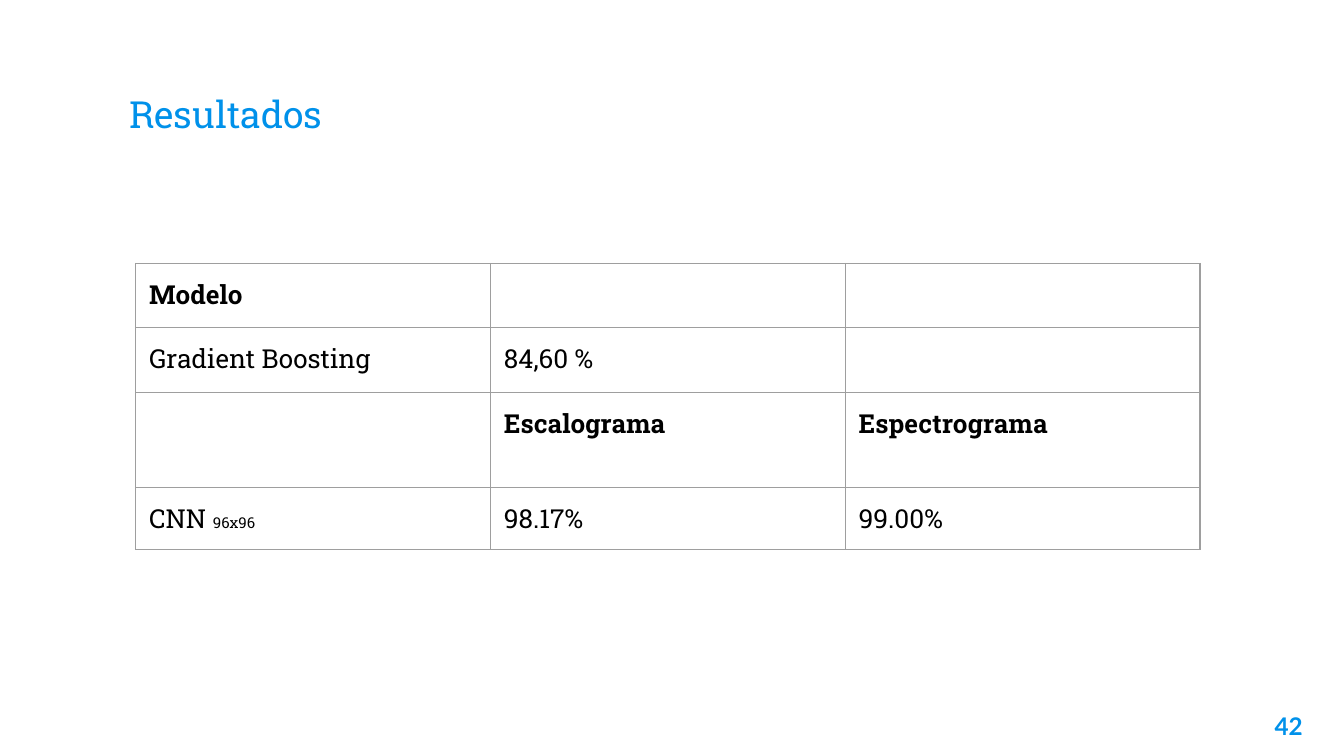
"""Build the results slide with its table of model accuracies."""
import pptx
import pptx.dml.color
import pptx.enum.text
import pptx.oxml
import pptx.oxml.ns
import pptx.util

WIDTH = 10
HEIGHT = WIDTH * 9 / 16
SLAB, BLUE, BLACK, GREY = "Roboto Slab", "0091EA", "000000", "9E9E9E"
ANCHOR = pptx.enum.text.MSO_ANCHOR
ALIGN = pptx.enum.text.PP_ALIGN

TITLE = "Resultados"
PAGE = "42"
ROWS = [
    ["Modelo", "", ""],
    ["Gradient Boosting", "84,60 %", ""],
    ["", "Escalograma", "Espectrograma"],
    ["CNN ", "98.17%", "99.00%"],
]
BOLD_ROWS = {0, 2}
SUFFIXES = {(3, 0): "96x96"}
ROW_HEIGHTS = [0.48, 0.48, 0.71, 0.46]
TABLE_LEFT, TABLE_TOP, COLUMN = 1.01, 1.96, 2.64


def inches(*values):
    return [pptx.util.Inches(v) for v in values]


def color(value):
    return pptx.dml.color.RGBColor.from_string(value)


def xml(tag, attributes, content=""):
    return pptx.oxml.parse_xml(
        f'<a:{tag} {pptx.oxml.ns.nsdecls("a")} {attributes}>{content}</a:{tag}>')


def add_text(p, text, size=14, font=SLAB, fill=BLACK, bold=False, align=ALIGN.LEFT):
    p.alignment = align
    if not text:
        p._p.append(xml("endParaRPr", f'sz="{size * 100}"'))
        return
    r = p.add_run()
    r.text = text
    r.font.size = pptx.util.Pt(size)
    r.font.name = font
    r.font.bold = bold
    r.font.color.rgb = color(fill)


def set_insets(box):
    box.margin_left, box.margin_top, box.margin_right, box.margin_bottom = inches(*[0.1] * 4)


def set_borders(cell):
    tc_pr = cell._tc.get_or_add_tcPr()
    line = f'<a:solidFill><a:srgbClr val="{GREY}"/></a:solidFill>'
    for i, side in enumerate(("lnL", "lnR", "lnT", "lnB")):
        tc_pr.insert(i, xml(side, f'w="{pptx.util.Pt(0.75)}"', line))


def add_title(s):
    sp = s.shapes.title
    sp.left, sp.top, sp.width, sp.height = inches(0.86, 0.34, 8.28, 0.77)
    tf = sp.text_frame
    set_insets(tf)
    tf.vertical_anchor = ANCHOR.BOTTOM
    add_text(tf.paragraphs[0], TITLE, size=20, fill=BLUE)


def add_page_number(s):
    tf = s.shapes.add_textbox(*inches(9.19, 5.19, 0.6, 0.43)).text_frame
    tf.word_wrap = True
    set_insets(tf)
    add_text(tf.paragraphs[0], PAGE, size=13, font="Lato", fill=BLUE, bold=True,
             align=ALIGN.RIGHT)


def add_results(s):
    n_cols = len(ROWS[0])
    table = s.shapes.add_table(len(ROWS), n_cols, *inches(
        TABLE_LEFT, TABLE_TOP, COLUMN * n_cols, sum(ROW_HEIGHTS))).table
    table.first_row = table.horz_banding = False
    for column in table.columns:
        column.width = pptx.util.Inches(COLUMN)
    for i, (row, height) in enumerate(zip(ROWS, ROW_HEIGHTS)):
        table.rows[i].height = pptx.util.Inches(height)
        for j, text in enumerate(row):
            cell = table.cell(i, j)
            cell.fill.background()
            set_insets(cell)
            set_borders(cell)
            p = cell.text_frame.paragraphs[0]
            add_text(p, text, bold=i in BOLD_ROWS)
            if (i, j) in SUFFIXES:
                add_text(p, SUFFIXES[i, j], size=8)


def main():
    prs = pptx.Presentation()
    prs.slide_width, prs.slide_height = inches(WIDTH, HEIGHT)
    s = prs.slides.add_slide(prs.slide_layouts[5])
    add_title(s)
    add_page_number(s)
    add_results(s)
    prs.save("out.pptx")


if __name__ == "__main__":
    main()
